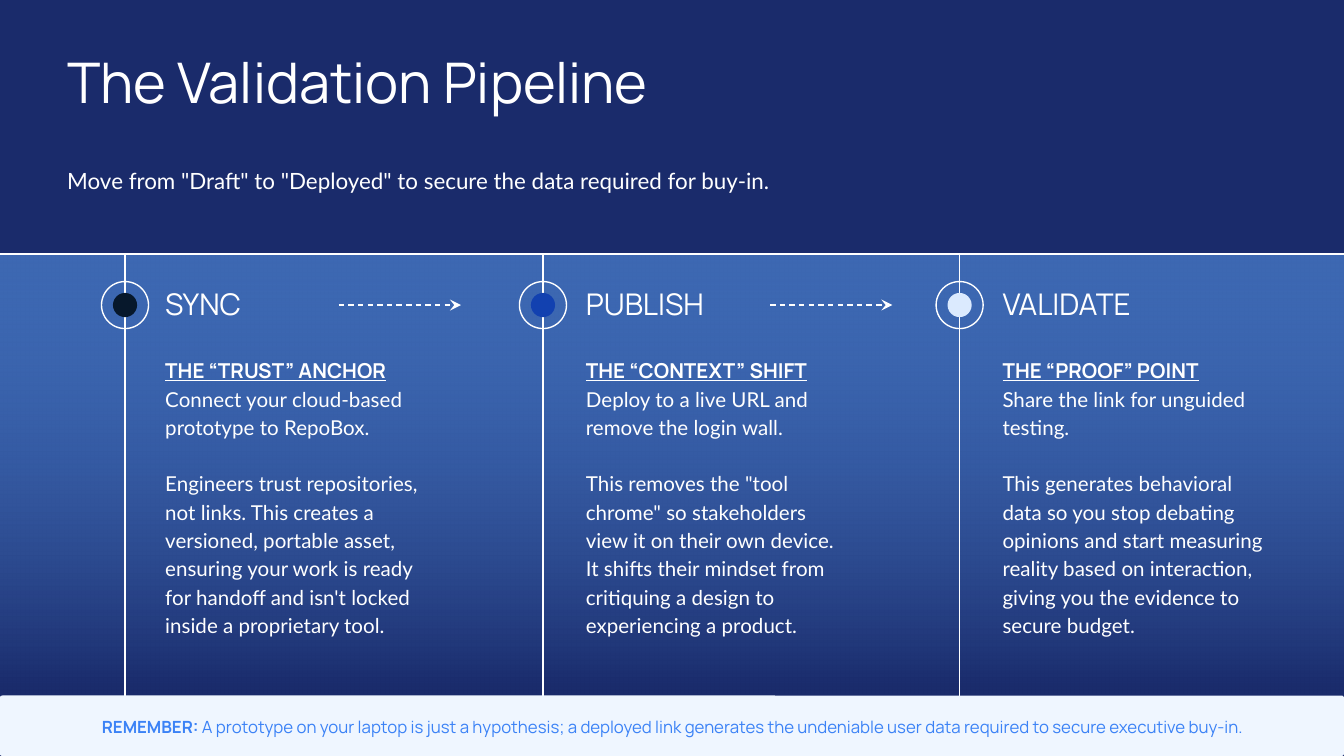
from lxml import etree
from pptx import Presentation
from pptx.dml.color import RGBColor
from pptx.enum.dml import MSO_LINE
from pptx.enum.shapes import MSO_CONNECTOR, MSO_SHAPE
from pptx.enum.text import MSO_ANCHOR, MSO_AUTO_SIZE, PP_ALIGN
from pptx.oxml.ns import qn
from pptx.util import Inches, Pt

STRAIGHT = MSO_CONNECTOR.STRAIGHT
RECTANGLE, ROUNDED, OVAL = MSO_SHAPE.RECTANGLE, MSO_SHAPE.ROUNDED_RECTANGLE, MSO_SHAPE.OVAL
DASH = MSO_LINE.DASH
TOP, MIDDLE, BOTTOM = MSO_ANCHOR.TOP, MSO_ANCHOR.MIDDLE, MSO_ANCHOR.BOTTOM
LEFT, CENTER = PP_ALIGN.LEFT, PP_ALIGN.CENTER
NO_AUTOFIT = MSO_AUTO_SIZE.NONE

NAVY, SKY, WHITE, PALE, BLUE = "1A2B6B", "60A5FA", "FFFFFF", "EFF6FF", "3B82F6"
HEADING_FONT, BODY_FONT = "Manrope", "Lato"
rgb = RGBColor.from_string


def write(shape, paragraphs, anchor, insets, align=LEFT, spacing=1.15):
    """Each paragraph is a list of runs: (text, font, size, colour, bold, underline)."""
    frame = shape.text_frame
    frame.auto_size = NO_AUTOFIT
    frame.word_wrap = True
    frame.vertical_anchor = anchor
    frame.margin_left, frame.margin_top, frame.margin_right, frame.margin_bottom = map(Inches, insets)
    for index, runs in enumerate(paragraphs):
        paragraph = frame.add_paragraph() if index else frame.paragraphs[0]
        paragraph.alignment = align
        paragraph.line_spacing = spacing
        paragraph.space_before = paragraph.space_after = Pt(0)
        for text, font, size, colour, bold, underline in runs:
            run = paragraph.add_run()
            run.text = text
            run.font.name, run.font.size = font, Pt(size)
            run.font.bold, run.font.underline = bold, underline
            run.font.color.rgb = rgb(colour)


def add_line(x1, y1, x2, y2):
    line = slide.shapes.add_connector(STRAIGHT, Inches(x1), Inches(y1), Inches(x2), Inches(y2))
    line.line.color.rgb = rgb(WHITE)
    line.line.width = Pt(0.75)
    etree.SubElement(line._element.spPr, qn("a:effectLst"))
    return line


# Slide in 16:9
presentation = Presentation()
presentation.slide_width = Inches(10)
presentation.slide_height = Inches(10 * 9 / 16)
slide = presentation.slides.add_slide(presentation.slide_layouts[1])
slide.background.fill.solid()
slide.background.fill.fore_color.rgb = rgb(NAVY)

# Title and subtitle
title, subtitle = slide.placeholders
title.left, title.top, title.width, title.height = map(Inches, (0.5, 0.45, 9, 0.4))
write(title, [[("The Validation Pipeline", HEADING_FONT, 30, WHITE, False, False)]],
      MIDDLE, (0, 0, 0, 0), spacing=0.8)
subtitle.left, subtitle.top, subtitle.width, subtitle.height = map(Inches, (0.5, 1.03, 8.51, 0.7))
properties = subtitle.text_frame.paragraphs[0]._p.get_or_add_pPr()
properties.set("marL", "0")
properties.set("indent", "0")
etree.SubElement(properties, qn("a:buNone"))
write(subtitle, [[('Move from "Draft" to "Deployed" to secure the data required for buy-in.',
                   BODY_FONT, 12, WHITE, False, False)]], MIDDLE, (0, 0, 0, 0.1))
subtitle.text_frame.paragraphs[0].space_after = Pt(10)

# Gradient band, dark at the bottom and half transparent at the top
band = slide.shapes.add_shape(RECTANGLE, 0, Inches(1.9), Inches(10), Inches(3.27))
band.shadow.inherit = False
band.line.fill.background()
band.fill.gradient()
band.fill.gradient_angle = 90
for stop, colour in zip(band.fill.gradient_stops, (NAVY, SKY)):
    stop.color.rgb = rgb(colour)
sky_color = band._element.spPr.findall(".//" + qn("a:srgbClr"))[-1]
etree.SubElement(sky_color, qn("a:alpha"), val="50000")

# Three stages: line position, text position, dot colour, name, heading, action, reason
stages = [
    (0.93, 1.23, "07182C", "SYNC", "THE “TRUST” ANCHOR",
     "Connect your cloud-based prototype to RepoBox.",
     "Engineers trust repositories, not links. This creates a versioned, portable asset, "
     "ensuring your work is ready for handoff and isn't locked inside a proprietary tool."),
    (4.04, 4.36, "1241B0", "PUBLISH", "THE “CONTEXT” SHIFT",
     "Deploy to a live URL and remove the login wall.",
     'This removes the "tool chrome" so stakeholders view it on their own device. '
     "It shifts their mindset from critiquing a design to experiencing a product."),
    (7.14, 7.46, "DBEAFE", "VALIDATE", "THE “PROOF” POINT",
     "Share the link for unguided testing.",
     "This generates behavioral data so you stop debating opinions and start measuring "
     "reality based on interaction, giving you the evidence to secure budget."),
]
marker_y = 2.27
for line_x, text_x, dot_colour, name, heading, action, reason in stages:
    add_line(line_x, 5.2, line_x, 1.89)

    # Ring and dot on the line
    for diameter, fill_colour in ((0.35, None), (0.18, dot_colour)):
        circle = slide.shapes.add_shape(
            OVAL, Inches(line_x - diameter / 2), Inches(marker_y - diameter / 2),
            Inches(diameter), Inches(diameter))
        circle.shadow.inherit = False
        if fill_colour:
            circle.fill.solid()
            circle.fill.fore_color.rgb = rgb(fill_colour)
            circle.line.fill.background()
        else:
            circle.fill.background()
            circle.line.color.rgb = rgb(WHITE)
            circle.line.width = Pt(0.75)

    # Stage name and description
    label = slide.shapes.add_textbox(Inches(text_x), Inches(1.9), Inches(1.53), Inches(0.49))
    write(label, [[(name, HEADING_FONT, 16, WHITE, False, False)]], BOTTOM, (0, 0.22, 0, 0))
    description = slide.shapes.add_textbox(Inches(text_x), Inches(2.43), Inches(1.97), Inches(2.32))
    write(description, [
        [(heading, HEADING_FONT, 11, WHITE, True, True)],
        [(action, BODY_FONT, 11, WHITE, False, False)],
        [(reason, BODY_FONT, 11, WHITE, False, False)],
    ], TOP, (0, 0.21, 0, 0))
    description.text_frame.paragraphs[2].space_before = Pt(15)

# Dashed arrows between the stages
for arrow_x in (2.52, 5.73):
    arrow = add_line(arrow_x, marker_y, arrow_x + 0.91, marker_y)
    arrow.line.dash_style = DASH
    etree.SubElement(arrow.line._get_or_add_ln(), qn("a:tailEnd"), type="stealth")

# Rule above the band
add_line(-0.12, 1.89, 10.05, 1.89)

# Reminder bar along the bottom edge
bar_height = Inches(0.45)
reminder = slide.shapes.add_shape(ROUNDED, 0, presentation.slide_height - bar_height,
                                  presentation.slide_width, bar_height)
reminder.adjustments[0] = 0.04
reminder.shadow.inherit = False
reminder.fill.solid()
reminder.fill.fore_color.rgb = rgb(PALE)
reminder.line.fill.background()
write(reminder, [[
    ("REMEMBER: ", HEADING_FONT, 9, BLUE, True, False),
    ("A prototype on your laptop is just a hypothesis; a deployed link generates the undeniable "
     "user data required to secure executive buy-in.", HEADING_FONT, 9, BLUE, False, False),
]], MIDDLE, (0.1, 0.1, 0.1, 0.1), align=CENTER)

presentation.save("out.pptx")
